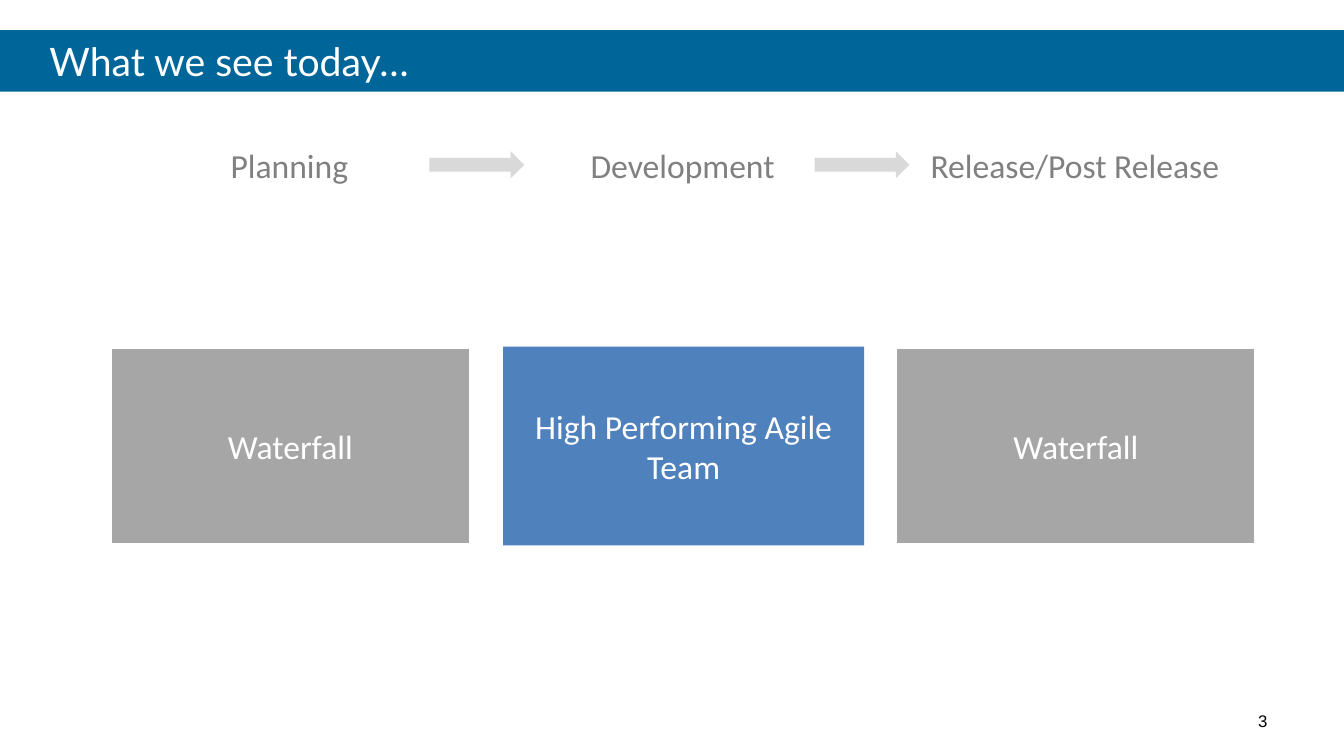
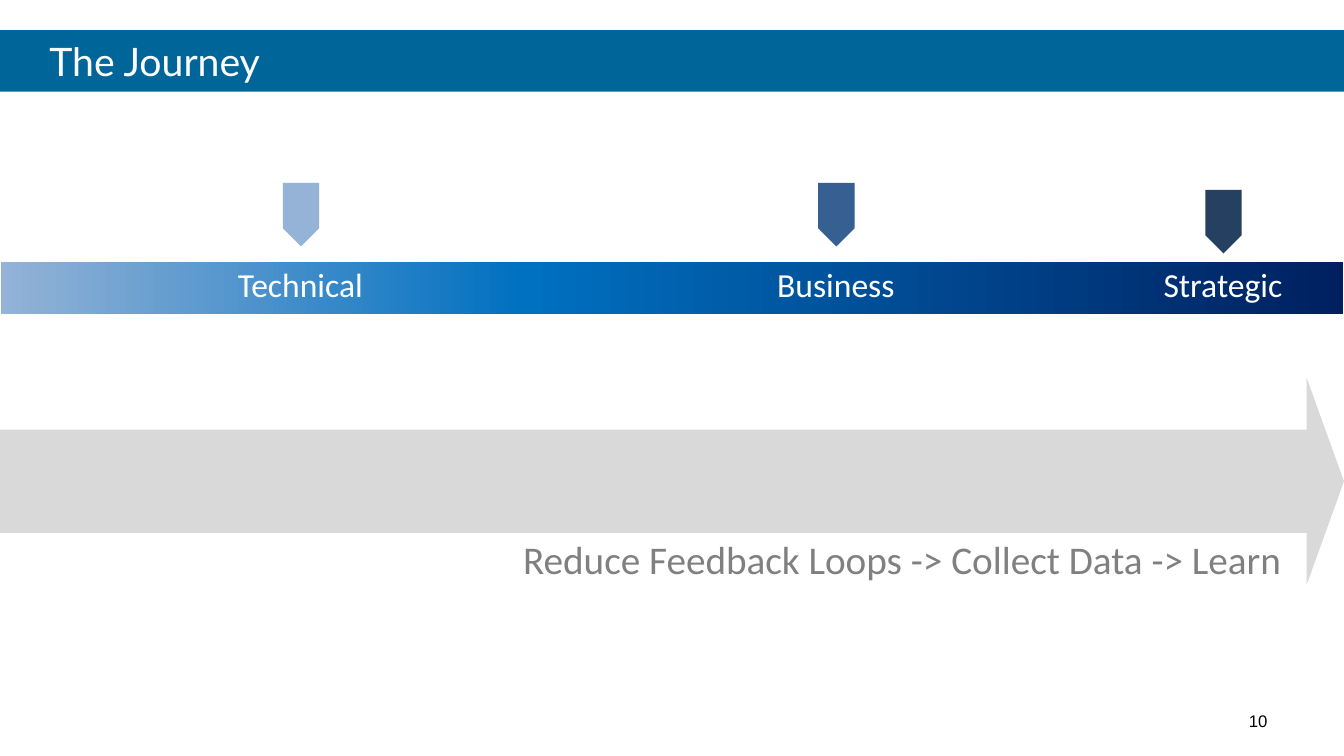
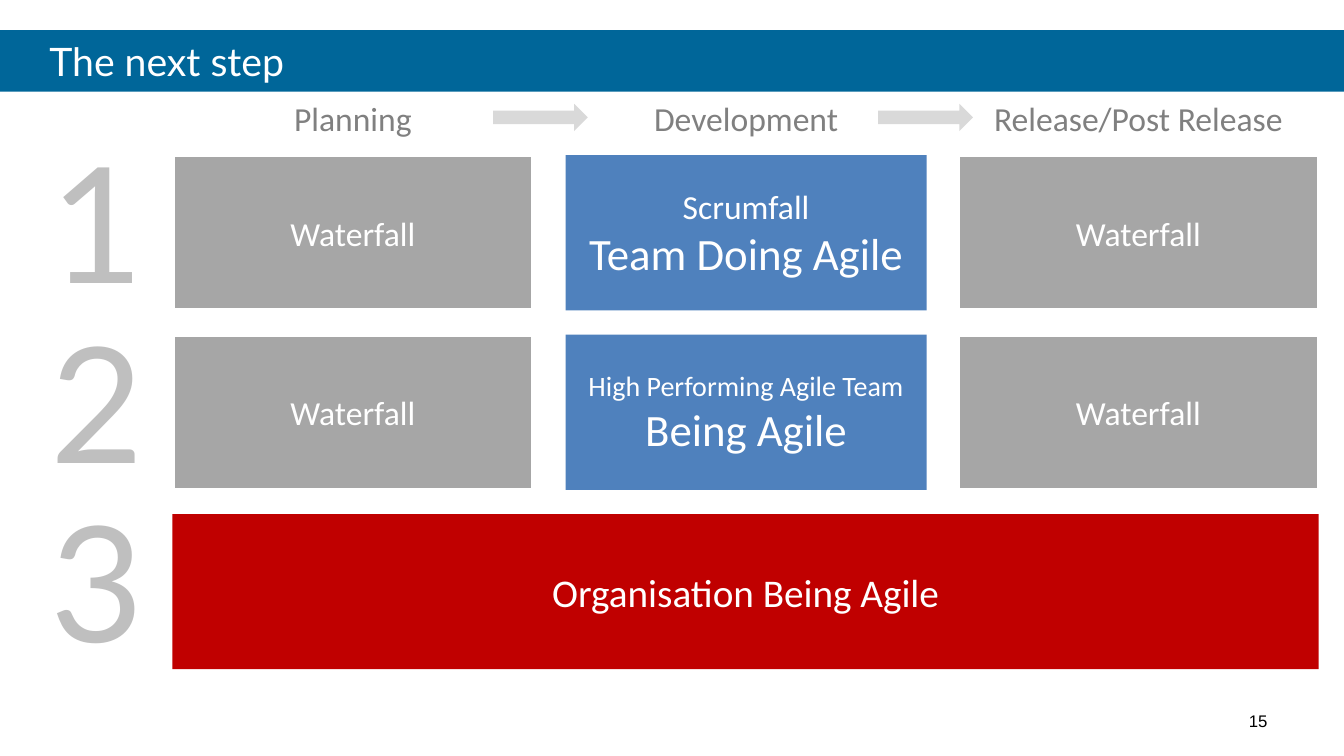
from copy import deepcopy

from pptx import Presentation
from pptx.dml.color import RGBColor
from pptx.enum.shapes import MSO_SHAPE
from pptx.enum.text import MSO_ANCHOR, MSO_AUTO_SIZE, PP_ALIGN
from pptx.oxml.ns import qn
from pptx.util import Inches, Pt

COLORS = {
    "band": "006699", "white": "FFFFFF", "black": "000000", "label": "808080",
    "numeral": "BFBFBF", "arrow": "D9D9D9", "waterfall": "A6A6A6",
    "agile": "4F81BD", "organisation": "C00000", "technical": "95B3D7",
    "business": "376092", "strategic": "254061", "mid": "0070C0", "navy": "002060",
}
SLIDE_W = 13.33
PHASES = ("Planning", "Development", "Release/Post Release")
COLUMNS = (0, 3.9, 7.79)
COLUMN_W = 3.58
ARROWS = (3.18, 7)


def rgb(name):
    """Return the named palette colour."""
    return RGBColor.from_string(COLORS[name])


def write(sp, lines, color, font="Calibri", align=PP_ALIGN.CENTER, anchor=MSO_ANCHOR.MIDDLE):
    """Fill a shape with (text, size) lines in one font and colour."""
    tf = sp.text_frame
    tf.word_wrap = True
    tf.auto_size = MSO_AUTO_SIZE.NONE
    tf.vertical_anchor = anchor
    for i, (text, size) in enumerate(lines):
        p = tf.paragraphs[0] if i == 0 else tf.add_paragraph()
        p.text = text
        p.alignment = align
        p.font.name = font
        p.font.size = Pt(size)
        p.font.color.rgb = rgb(color)


def add_text(shapes, box, text, size, color, **style):
    """Add a one-line text box."""
    sp = shapes.add_textbox(*map(Inches, box))
    write(sp, [(text, size)], color, **style)


def add_block(shapes, kind, box, fill, lines=(), outline=0):
    """Add a filled preset shape with optional white outline and text."""
    sp = shapes.add_shape(kind, *map(Inches, box))
    sp.shadow.inherit = False
    sp.fill.solid()
    sp.fill.fore_color.rgb = rgb(fill)
    if outline:
        sp.line.color.rgb = rgb("white")
        sp.line.width = Pt(outline)
    else:
        sp.line.fill.background()
    write(sp, lines, "white")
    return sp


def new_slide(prs, title, number):
    """Add a slide with the title band and page number, and return its shapes."""
    shapes = prs.slides.add_slide(prs.slide_layouts[5]).shapes
    sp = shapes.title
    sp.left, sp.top, sp.width, sp.height = map(Inches, (0, 0.3, SLIDE_W, 0.61))
    sp.fill.solid()
    sp.fill.fore_color.rgb = rgb("band")
    write(sp, [(title, 28)], "white", font="Lato", align=PP_ALIGN.LEFT)
    sp.text_frame.margin_left = Inches(0.49)
    add_text(shapes, (9.56, 6.95, 3.11, 0.4), str(number), 12, "black",
             font="Arial", align=PP_ALIGN.RIGHT)
    return shapes


def add_phases(shapes, left, top):
    """Add the row of phase names joined by arrows."""
    for phase, dx in zip(PHASES, COLUMNS):
        add_text(shapes, (left + dx, top, COLUMN_W, 0.5), phase, 24, "label",
                 anchor=MSO_ANCHOR.TOP)
    for dx in ARROWS:
        add_block(shapes, MSO_SHAPE.RIGHT_ARROW, (left + dx, top + 0.11, 0.94, 0.27), "arrow")


def add_row(shapes, left, top, height, lines):
    """Add an agile block between two waterfall blocks."""
    waterfall = ("waterfall", [("Waterfall", 24)], 3)
    for dx, look in zip(COLUMNS, (waterfall, ("agile", lines, 0), waterfall)):
        add_block(shapes, MSO_SHAPE.RECTANGLE, (left + dx, top, COLUMN_W, height), *look)


def add_scale(shapes, top, height):
    """Add the gradient bar with its three marked stages."""
    bar = add_block(shapes, MSO_SHAPE.RECTANGLE, (0, top, SLIDE_W, height), "mid", outline=2)
    bar.fill.gradient()
    bar.fill.gradient_angle = 0
    first = bar._element.spPr.find(qn("a:gradFill")).find(qn("a:gsLst"))[0]
    first.addnext(deepcopy(first))
    stops = ((0, "technical"), (0.39, "mid"), (1, "navy"))
    for stop, (position, color) in zip(bar.fill.gradient_stops, stops):
        stop.position = position
        stop.color.rgb = rgb(color)
    stages = (("Technical", 2.98, 0.64), ("Business", 8.29, 0.64), ("Strategic", 12.13, 0.57))
    for stage, center, rise in stages:
        add_text(shapes, (center - 0.8, top - 0.02, 1.6, 0.5), stage, 24, "white",
                 anchor=MSO_ANCHOR.TOP)
        marker = add_block(shapes, MSO_SHAPE.PENTAGON,
                           (center - 0.31, top - rise, 0.63, 0.36), stage.lower())
        marker.rotation = 90


def add_feedback(shapes, top, height):
    """Add the grouped feedback arrow and its caption."""
    group = shapes.add_group_shape().shapes
    arrow = add_block(group, MSO_SHAPE.RIGHT_ARROW, (0, top, SLIDE_W, height), "arrow")
    arrow.adjustments[1] = 0.18
    add_text(group, (5.09, top + 1.51, 7.89, 0.57),
             "Reduce Feedback Loops -> Collect Data -> Learn", 28, "label",
             align=PP_ALIGN.LEFT, anchor=MSO_ANCHOR.TOP)


def today_slide(prs):
    """Build the slide on the present state."""
    shapes = new_slide(prs, "What we see today…", 3)
    add_phases(shapes, 1.08, 1.39)
    add_row(shapes, 1.09, 3.44, 1.97, [("High Performing Agile Team", 24)])


def journey_slide(prs):
    """Build the slide on the journey."""
    shapes = new_slide(prs, "The Journey", 10)
    add_feedback(shapes, 3.75, 2.05)
    add_scale(shapes, 2.59, 0.54)


def next_step_slide(prs):
    """Build the slide on the three steps."""
    shapes = new_slide(prs, "The next step", 15)
    left, top, pitch, height = 1.71, 1.54, 1.78, 1.54
    add_phases(shapes, left, 0.92)
    rows = ([("Scrumfall", 24), ("Team Doing Agile", 32)],
            [("High Performing Agile Team", 20), ("Being Agile", 32)])
    for i, lines in enumerate(rows):
        add_row(shapes, left, top + i * pitch, height, lines)
    add_block(shapes, MSO_SHAPE.RECTANGLE, (left, top + 2 * pitch, 11.37, height),
              "organisation", [("Organisation Being Agile", 28)])
    for i in range(3):
        add_text(shapes, (0.4, top + i * pitch - 0.37, 0.9, 2.04), str(i + 1), 115,
                 "numeral", font="Lato", align=PP_ALIGN.LEFT, anchor=MSO_ANCHOR.TOP)


def main():
    """Build and save the presentation."""
    prs = Presentation()
    prs.slide_width, prs.slide_height = Inches(SLIDE_W), Inches(7.5)
    today_slide(prs)
    journey_slide(prs)
    next_step_slide(prs)
    prs.save("out.pptx")


if __name__ == "__main__":
    main()
